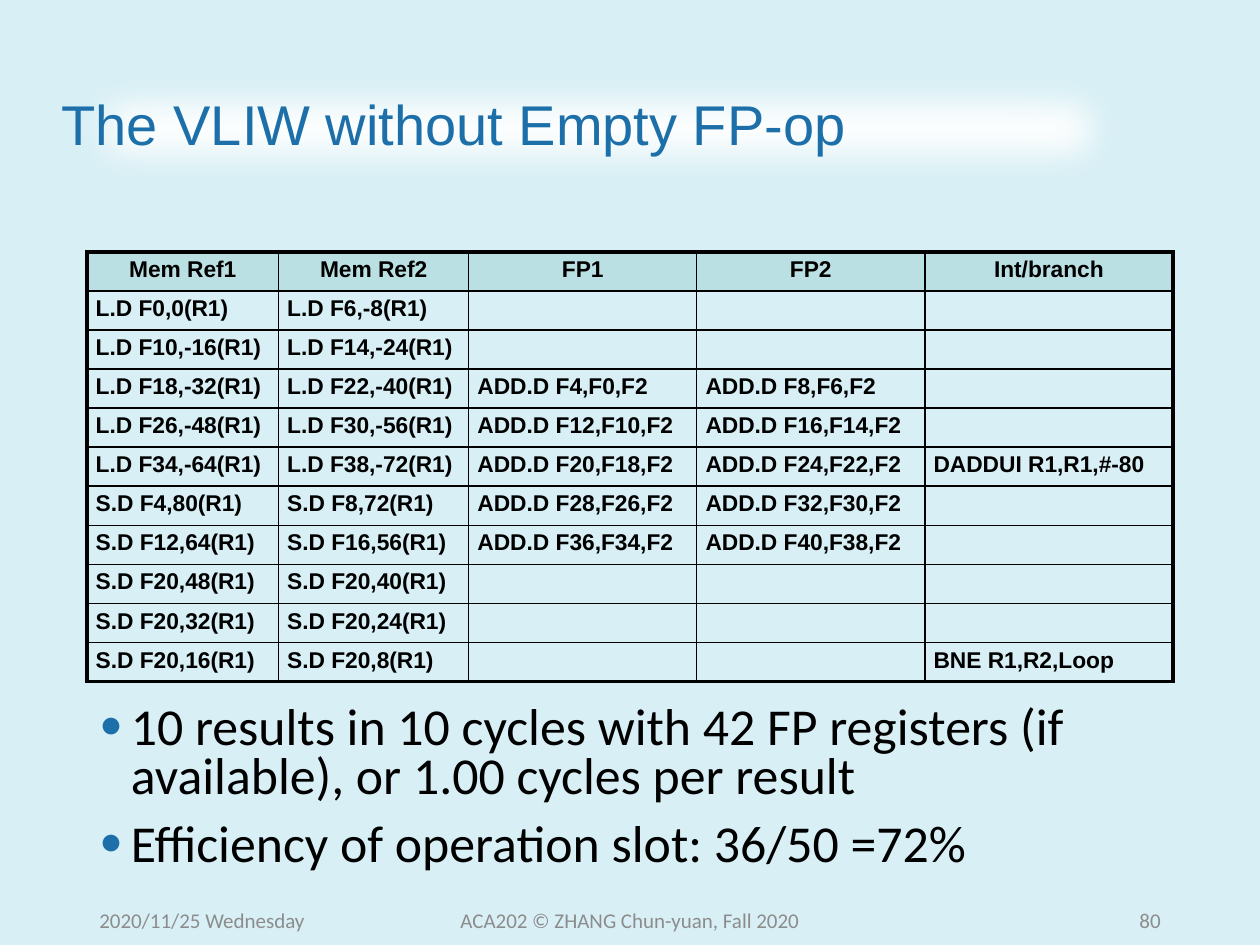
from dataclasses import dataclass
from lxml import etree
from pptx import Presentation
from pptx.dml.color import RGBColor
from pptx.enum.shapes import MSO_SHAPE
from pptx.enum.text import MSO_ANCHOR, PP_ALIGN
from pptx.oxml.ns import qn
from pptx.util import Inches, Pt

RECT = MSO_SHAPE.RECTANGLE
TOP, MID = MSO_ANCHOR.TOP, MSO_ANCHOR.MIDDLE
LEFT, CENTER, RIGHT = PP_ALIGN.LEFT, PP_ALIGN.CENTER, PP_ALIGN.RIGHT


@dataclass(frozen=True)
class Theme:
    back: str = "D7EFF5"
    white: str = "FFFFFF"
    blue: str = "1D6FA9"
    black: str = "000000"
    gray: str = "8C8C8C"
    head: str = "BBE0E3"
    sans: str = "Arial"
    body: str = "Calibri"
    title: float = 32
    cell: float = 13
    point: float = 29.6
    foot: float = 12
    thin: float = 1
    thick: float = 2.25


T = Theme()

TITLE = "The VLIW without Empty FP-op"
ROWS = [
    ("Mem Ref1", "Mem Ref2", "FP1", "FP2", "Int/branch"),
    ("L.D F0,0(R1)", "L.D F6,-8(R1)", "", "", ""),
    ("L.D F10,-16(R1)", "L.D F14,-24(R1)", "", "", ""),
    ("L.D F18,-32(R1)", "L.D F22,-40(R1)", "ADD.D F4,F0,F2", "ADD.D F8,F6,F2", ""),
    ("L.D F26,-48(R1)", "L.D F30,-56(R1)", "ADD.D F12,F10,F2", "ADD.D F16,F14,F2", ""),
    ("L.D F34,-64(R1)", "L.D F38,-72(R1)", "ADD.D F20,F18,F2", "ADD.D F24,F22,F2",
     "DADDUI R1,R1,#-80"),
    ("S.D F4,80(R1)", "S.D F8,72(R1)", "ADD.D F28,F26,F2", "ADD.D F32,F30,F2", ""),
    ("S.D F12,64(R1)", "S.D F16,56(R1)", "ADD.D F36,F34,F2", "ADD.D F40,F38,F2", ""),
    ("S.D F20,48(R1)", "S.D F20,40(R1)", "", "", ""),
    ("S.D F20,32(R1)", "S.D F20,24(R1)", "", "", ""),
    ("S.D F20,16(R1)", "S.D F20,8(R1)", "", "", "BNE R1,R2,Loop"),
]
WIDTHS = (1.52, 1.51, 1.81, 1.81, 1.97)
POINTS = [
    "10 results in 10 cycles with 42 FP registers (if available), or 1.00 cycles per result",
    "Efficiency of operation slot: 36/50 =72%",
]
FEET = [
    ("2020/11/25 Wednesday", 0.69, 2.25, LEFT),
    ("ACA202 © ZHANG Chun-yuan, Fall 2020", 3.31, 3.38, CENTER),
    ("80", 7.06, 2.25, RIGHT),
]
EDGE, SPAN = 0.69, 8.62


def rgb(tone):
    return RGBColor.from_string(tone)


def node(root, tag, **attrs):
    return etree.SubElement(root, qn(tag), attrs)


def bullet(para):
    props = para._p.get_or_add_pPr()
    props.set("marL", str(Inches(0.25)))
    props.set("indent", str(Inches(-0.25)))
    node(node(props, "a:buClr"), "a:srgbClr", val=T.blue)
    node(props, "a:buSzPct", val="75000")
    node(props, "a:buFont", typeface=T.sans)
    node(props, "a:buChar", char="●")


def write(frame, lines, size, font=T.body, tone=T.black, bold=False,
          align=LEFT, line=1.0, before=0, marks=False):
    for spot, words in enumerate(lines):
        para = frame.add_paragraph() if spot else frame.paragraphs[0]
        para.alignment = align
        para.line_spacing = line
        para.space_before = Pt(before)
        if marks:
            bullet(para)
        if not words:
            node(para._p, "a:endParaRPr", sz=str(int(size * 100)))
            continue
        run = para.add_run()
        run.text = words
        run.font.size = Pt(size)
        run.font.name = font
        run.font.bold = bold
        run.font.color.rgb = rgb(tone)


def box(slide, left, top, width, height, anchor):
    frame = slide.shapes.add_textbox(*map(Inches, (left, top, width, height))).text_frame
    frame.word_wrap = True
    frame.vertical_anchor = anchor
    return frame


def border(cell, sides):
    props = cell._tc.get_or_add_tcPr()
    for spot, (side, width) in enumerate(sides.items()):
        rule = node(props, "a:ln" + side, w=str(Pt(width)))
        node(node(rule, "a:solidFill"), "a:srgbClr", val=T.black)
        props.insert(spot, rule)


def heading(slide):
    shape = slide.shapes.add_shape(RECT, *map(Inches, (0.39, 0.4, 8.69, 1.23)))
    shape.shadow.inherit = False
    shape.fill.solid()
    shape.fill.fore_color.rgb = rgb(T.white)
    shape.line.fill.background()
    effects = shape._element.spPr.find(qn("a:effectLst"))
    node(effects, "a:softEdge", rad=str(Pt(25)))
    frame = shape.text_frame
    frame.word_wrap = True
    frame.vertical_anchor = MID
    write(frame, [TITLE], T.title, font=T.sans, tone=T.blue, line=0.9)


def grid(slide):
    tall, wide = len(ROWS), len(WIDTHS)
    table = slide.shapes.add_table(
        tall, wide, *map(Inches, (EDGE, 2, SPAN, 3.41))).table
    table.first_row = table.horz_banding = False
    for col, width in zip(table.columns, WIDTHS):
        col.width = Inches(width)
    for y, row in enumerate(ROWS):
        table.rows[y].height = Inches(0.31)
        for x, words in enumerate(row):
            cell = table.cell(y, x)
            cell.margin_left = cell.margin_right = Inches(0.07)
            cell.margin_top = cell.margin_bottom = Inches(0.04)
            cell.vertical_anchor = MID
            if y == 0:
                cell.fill.solid()
                cell.fill.fore_color.rgb = rgb(T.head)
            else:
                cell.fill.background()
            outer = {"L": x == 0, "R": x == wide - 1, "T": y == 0, "B": y == tall - 1}
            border(cell, {s: T.thick if out else T.thin for s, out in outer.items()})
            write(cell.text_frame, [words], T.cell, font=T.sans, bold=True,
                  align=LEFT if y else CENTER, line=0.8)


deck = Presentation()
deck.slide_width, deck.slide_height = Inches(10), Inches(7.5)
slide = deck.slides.add_slide(deck.slide_layouts[6])
slide.background.fill.solid()
slide.background.fill.fore_color.rgb = rgb(T.back)

heading(slide)
grid(slide)
write(box(slide, EDGE, 5.55, SPAN, 1.47, TOP), POINTS, T.point,
      line=0.8, before=10, marks=True)
for words, left, width, align in FEET:
    write(box(slide, left, 7.1, width, 0.4, MID), [words], T.foot,
          tone=T.gray, align=align)

deck.save("out.pptx")
